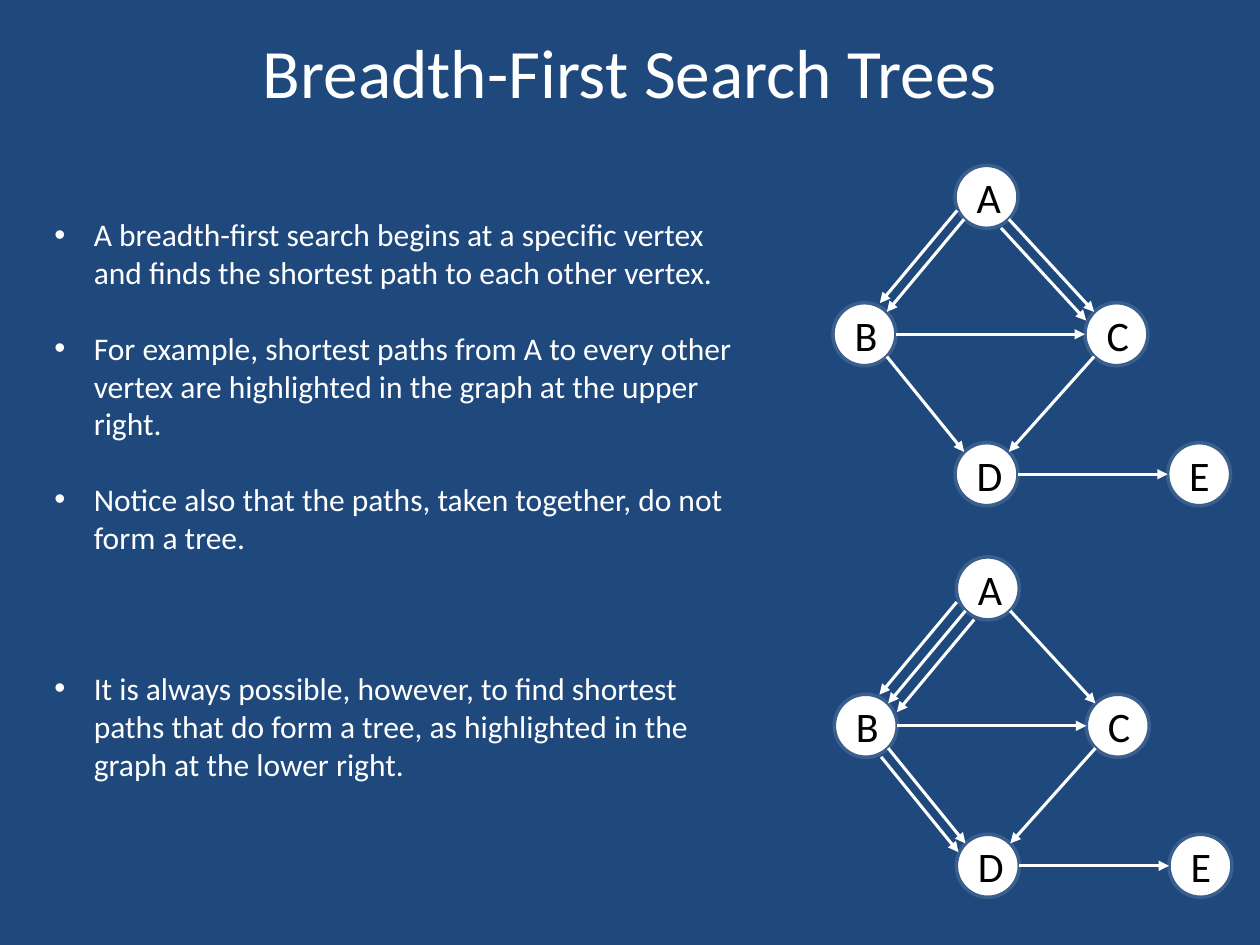
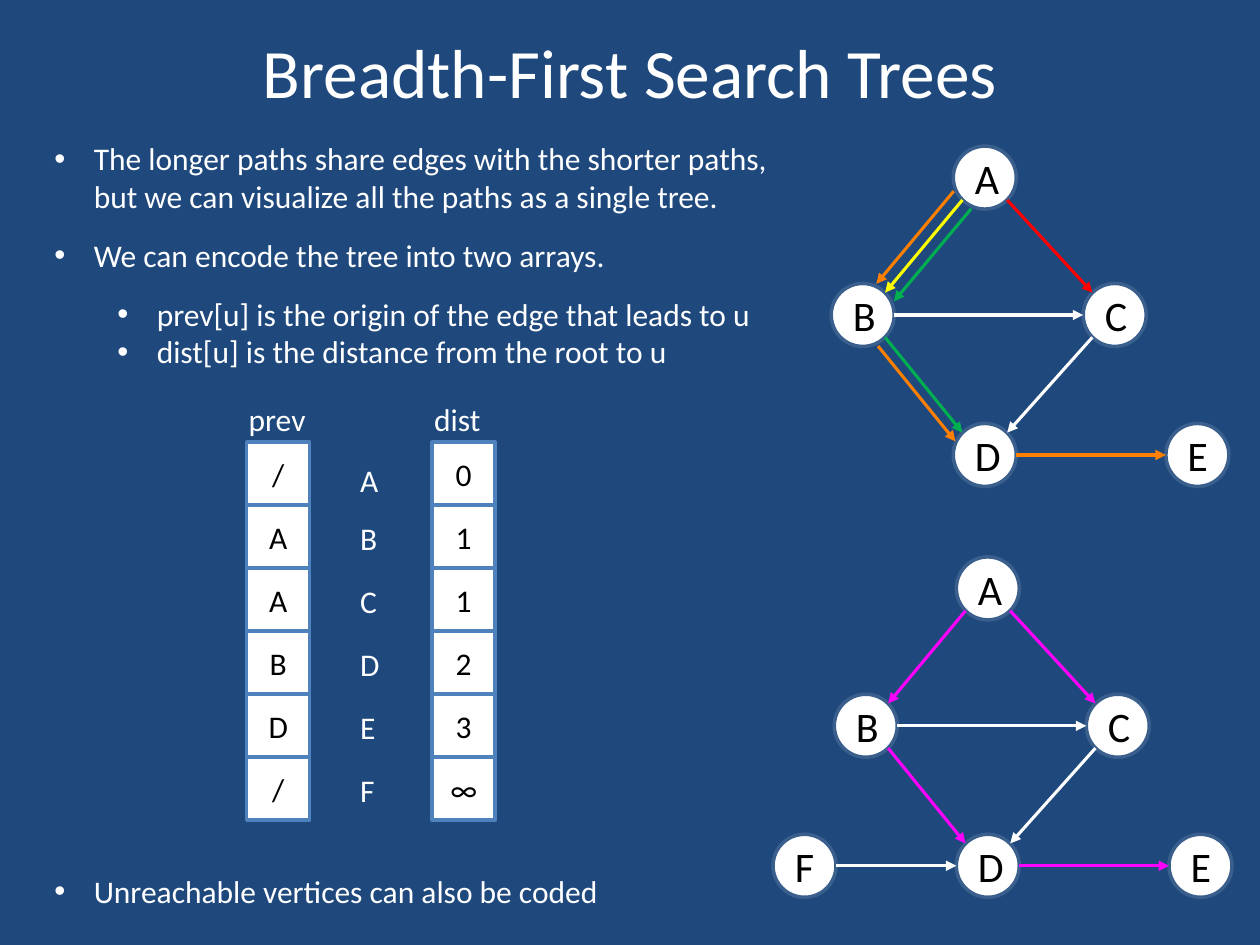
from dataclasses import dataclass

from lxml.etree import SubElement
from pptx import Presentation
from pptx.dml.color import RGBColor as Color
from pptx.enum.shapes import MSO_CONNECTOR as Line, MSO_SHAPE as Preset
from pptx.enum.text import MSO_ANCHOR as Anchor, PP_ALIGN as Align
from pptx.oxml.ns import qn
from pptx.util import Pt


@dataclass(frozen=True)
class Theme:
    font: str = "Calibri"
    bullet_font: str = "Arial"
    title_size: float = 39.6
    node_size: float = 24
    body_size: float = 18
    outline: float = 2
    arrow_width: float = 1.75
    navy: str = "1F497D"
    white: str = "FFFFFF"
    black: str = "000000"
    ring: str = "3A5F8C"
    cell_border: str = "4F81BD"
    red: str = "FF0000"
    yellow: str = "FFFF00"
    green: str = "00B050"
    orange: str = "FF7F00"
    magenta: str = "FF00FF"


THEME = Theme()
CELL = 36
HANG = 22.5
DIAGONAL = CELL / 2 * 0.71
SITES = {
    "upper left": (1, -DIAGONAL, -DIAGONAL),
    "left": (2, -CELL / 2, 0),
    "lower left": (3, -DIAGONAL, DIAGONAL),
    "lower right": (5, DIAGONAL, DIAGONAL),
    "right": (6, CELL / 2, 0),
    "upper right": (7, DIAGONAL, -DIAGONAL),
}
VERTICES = {
    "A": (69.75, 0),
    "B": (0, 78.5),
    "C": (144, 78.5),
    "D": (69.75, 158.5),
    "E": (191.25, 158.5),
    "F": (-35, 158.5),
}
EDGE_SITES = {
    "AB": ("lower left", "upper right"),
    "AC": ("lower right", "upper left"),
    "BC": ("right", "left"),
    "BD": ("lower right", "upper left"),
    "CD": ("lower left", "upper right"),
    "DE": ("right", "left"),
    "FD": ("right", "left"),
}


class SlideBuilder:
    def __init__(self, deck, theme):
        self.deck = deck
        self.theme = theme
        self.page = None

    def start_page(self, title):
        self.page = self.deck.slides.add_slide(self.deck.slide_layouts[6])
        fill = self.page.background.fill
        fill.solid()
        fill.fore_color.rgb = Color.from_string(self.theme.navy)
        frame = self.text_frame(36, 12.25, 648, 56)
        frame.vertical_anchor = Anchor.MIDDLE
        self.set_text(frame.paragraphs[0], title, self.theme.title_size,
                      self.theme.white, Align.CENTER)

    def text_frame(self, left, top, width, height, wrap=True):
        box = self.page.shapes.add_textbox(Pt(left), Pt(top), Pt(width), Pt(height))
        box.text_frame.word_wrap = wrap
        return box.text_frame

    def set_text(self, para, text, size, colour, align=Align.LEFT):
        para.text = text
        para.alignment = align
        para.font.name = self.theme.font
        para.font.size = Pt(size)
        para.font.color.rgb = Color.from_string(colour)

    def label(self, text, left, top, width):
        frame = self.text_frame(left, top, width, 29, wrap=False)
        self.set_text(frame.paragraphs[0], text, self.theme.body_size, self.theme.white)

    def bullets(self, items, left, top, width, height):
        frame = self.text_frame(left, top, width, height)
        for number, (text, indent, gap) in enumerate(items):
            para = frame.add_paragraph() if number else frame.paragraphs[0]
            para.space_before = Pt(gap)
            properties = para._p.get_or_add_pPr()
            properties.set("marL", str(Pt(indent + HANG)))
            properties.set("indent", str(-Pt(HANG)))
            SubElement(properties, qn("a:buFont"), typeface=self.theme.bullet_font)
            SubElement(properties, qn("a:buChar"), char="•")
            self.set_text(para, text, self.theme.body_size, self.theme.white)

    def tile(self, preset, text, left, top, border, size):
        shape = self.page.shapes.add_shape(preset, Pt(left), Pt(top), Pt(CELL), Pt(CELL))
        shape.shadow.inherit = False
        shape.fill.solid()
        shape.fill.fore_color.rgb = Color.from_string(self.theme.white)
        shape.line.color.rgb = Color.from_string(border)
        shape.line.width = Pt(self.theme.outline)
        shape.text_frame.vertical_anchor = Anchor.MIDDLE
        self.set_text(shape.text_frame.paragraphs[0], text, size,
                      self.theme.black, Align.CENTER)
        return shape

    def arrow(self, start, end, colour):
        points = [Pt(value) for value in (*start, *end)]
        connector = self.page.shapes.add_connector(Line.STRAIGHT, *points)
        connector.line.color.rgb = Color.from_string(colour)
        connector.line.width = Pt(self.theme.arrow_width)
        properties = connector._element.spPr
        SubElement(properties.find(qn("a:ln")), qn("a:tailEnd"), type="triangle")
        SubElement(properties, qn("a:effectLst"))
        return connector

    def graph(self, names, left, top, edges):
        nodes = {}
        for name in names:
            across, down = VERTICES[name]
            nodes[name] = self.tile(Preset.OVAL, name, left + across, top + down,
                                    self.theme.ring, self.theme.node_size)
        for edge, colour, shift in edges:
            points, joints = [], []
            for name, side in zip(edge, EDGE_SITES[edge]):
                site, across, down = SITES[side]
                x, y = VERTICES[name]
                points.append((left + x + CELL / 2 + across + shift[0],
                               top + y + CELL / 2 + down + shift[1]))
                joints.append((nodes[name].shape_id, site))
            connector = self.arrow(*points, colour)
            if shift == (0, 0):
                holder = connector._element.find(".//" + qn("p:cNvCxnSpPr"))
                for tag, (node_id, site) in zip(("a:stCxn", "a:endCxn"), joints):
                    SubElement(holder, qn(tag), id=str(node_id), idx=str(site))

    def array(self, heading, values, left, top):
        self.label(heading, left - 6, top - 28, 48)
        for row, value in enumerate(values):
            self.tile(Preset.RECTANGLE, value, left, top + row * CELL,
                      self.theme.cell_border, self.theme.body_size)


def coloured_edges(**colours):
    return [(edge, colours.get(edge, THEME.white), (0, 0))
            for edge in EDGE_SITES if edge != "FD" or "FD" in colours]


def shortest_paths_page(builder):
    white = THEME.white
    builder.start_page("Breadth-First Search Trees")
    builder.graph("ABCDE", 476, 94.5, coloured_edges() + [
        ("AB", white, (-4, -5)),
        ("AC", white, (-4.5, 5)),
    ])
    builder.graph("ABCDE", 476.75, 318.25, coloured_edges() + [
        ("AB", white, (5, 5)),
        ("AB", white, (-5, -5)),
        ("BD", white, (-4, 5)),
    ])
    builder.bullets([
        ("A breadth-first search begins at a specific vertex and finds the shortest "
         "path to each other vertex.", 0, 0),
        ("For example, shortest paths from A to every other vertex are highlighted "
         "in the graph at the upper right.", 0, 21.6),
        ("Notice also that the paths, taken together, do not form a tree.", 0, 21.6),
        ("It is always possible, however, to find shortest paths that do form a tree, "
         "as highlighted in the graph at the lower right.", 0, 64.8),
    ], 24, 119.5, 408, 334)


def tree_arrays_page(builder):
    builder.start_page("Breadth-First Search Trees")
    magenta, orange = THEME.magenta, THEME.orange
    builder.graph("ABCDEF", 476.75, 318.25, coloured_edges(
        AB=magenta, AC=magenta, BD=magenta, DE=magenta, FD=THEME.white))
    upper_edges = coloured_edges(
        AB=THEME.yellow, AC=THEME.red, BD=THEME.green, DE=orange)
    builder.graph("ABCDE", 475, 83.5, upper_edges + [
        ("AB", THEME.green, (5, 5)),
        ("AB", orange, (-5, -5)),
        ("BD", orange, (-4, 5)),
    ])
    builder.bullets([
        ("The longer paths share edges with the shorter paths, but we can visualize "
         "all the paths as a single tree.", 0, 0),
        ("We can encode the tree into two arrays.", 0, 12),
        ("prev[u] is the origin of the edge that leads to u", 36, 12),
        ("dist[u] is the distance from the root to u", 36, 0),
    ], 24, 76, 426, 140)
    array_top = 252.75
    builder.array("prev", "/AABD/", 141, array_top)
    builder.array("dist", "01123∞", 247, array_top)
    for row, vertex in enumerate("ABCDEF"):
        drop = 7 if row == 0 else 4
        builder.label(vertex, 198.75, array_top + row * CELL + drop, 26)
    builder.bullets([("Unreachable vertices can also be coded", 0, 0)],
                    24, 494.5, 329, 29)


def main():
    deck = Presentation()
    deck.slide_width, deck.slide_height = Pt(720), Pt(540)
    builder = SlideBuilder(deck, THEME)
    shortest_paths_page(builder)
    tree_arrays_page(builder)
    deck.save("out.pptx")


if __name__ == "__main__":
    main()
